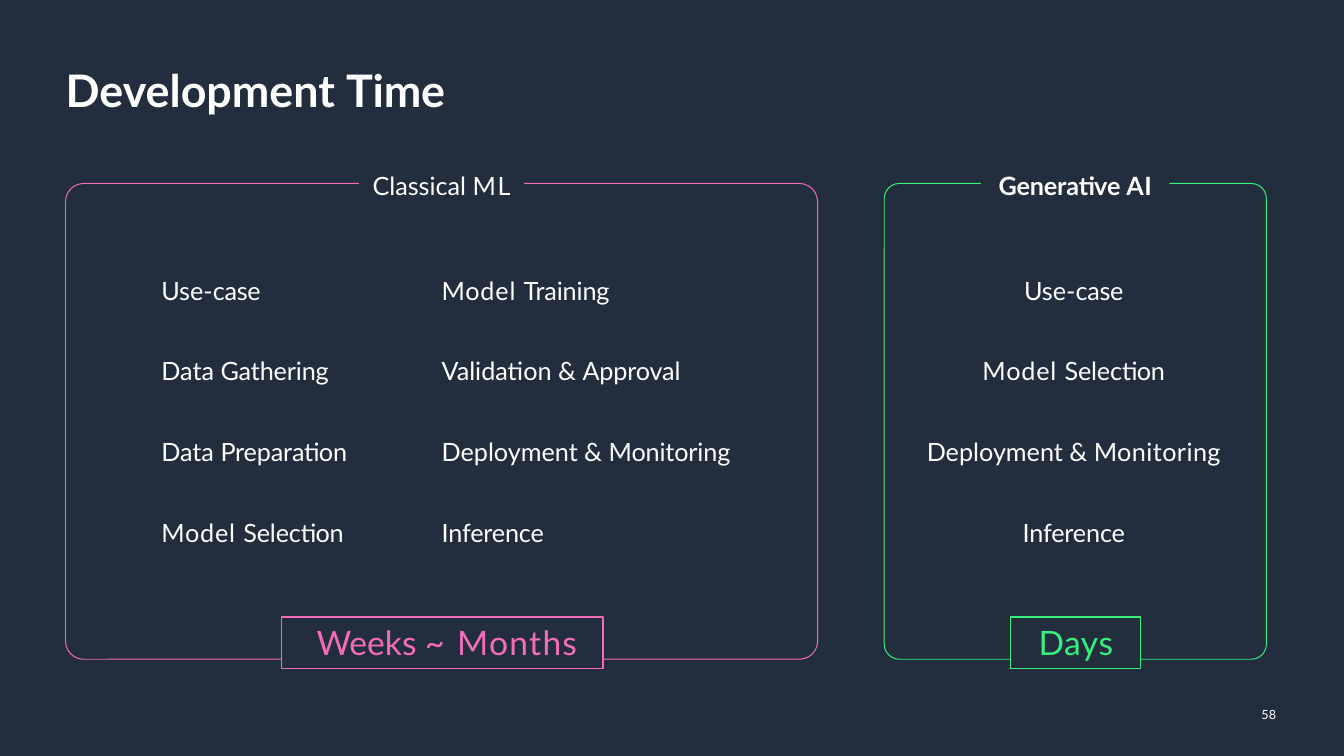
from pptx import Presentation, util as u
from pptx.dml.color import RGBColor
from pptx.enum import shapes, text

COLORS = {"navy": "222E3D", "white": "FFFFFF", "pink": "F46CB9", "green": "38EE7C"}

# Each step: text box width, then (text, letter spacing in points) spans
USE_CASE = (1.03, [("Use-", 0), ("case", -0.2)])
GATHERING = (1.75, [("Data ", 0), ("Gathering", -0.1)])
PREPARATION = (1.96, [("Data ", 0), ("Preparation", -0.1)])
SELECTION = (1.84, [("Model ", 0.6), ("Selection", -0.1)])
TRAINING = (1.73, [("Model ", 0.6), ("Training", -0.1)])
APPROVAL = (2.53, [("Validation & ", 0), ("Approval", -0.1)])
DEPLOYMENT = (2.99, [("Deployment & ", 0), ("Monitoring", -0.1)])
DEPLOYMENT_WIDE = (2.99, [("Deployment & ", 0), ("Monitoring", 0.3)])
INFERENCE = (1.09, [("Inference", -0.1)])

ROW_TOP, ROW_STEP, ROW_HEIGHT = 2.7, 0.8, 0.33
FRAME_TOP, FRAME_HEIGHT = 1.82, 4.72
GENERATIVE_CENTER = 10.65


def color(name):
    return RGBColor.from_string(COLORS[name])


def write(box, spans, size=18, ink="white", bold=False, centered=False,
          inset_left=0.01, inset_top=0.03):
    """Fill a shape with one paragraph of individually spaced spans."""
    frame = box.text_frame
    layout = {
        "word_wrap": True,
        "vertical_anchor": text.MSO_ANCHOR.TOP,
        "margin_left": u.Inches(inset_left),
        "margin_top": u.Inches(inset_top),
        "margin_right": 0,
        "margin_bottom": 0,
    }
    for name, value in layout.items():
        setattr(frame, name, value)
    para = frame.paragraphs[0]
    para.alignment = text.PP_ALIGN.CENTER if centered else text.PP_ALIGN.LEFT
    for words, spacing in spans:
        span = para.add_run()
        span.text = words
        for name, value in {"name": "Lato", "size": u.Pt(size), "bold": bold}.items():
            setattr(span.font, name, value)
        span.font.color.rgb = color(ink)
        if spacing:
            span.font._element.set("spc", str(round(spacing * 100)))


def add_text(page, left, top, width, height, spans, **style):
    box = page.shapes.add_textbox(*map(u.Inches, (left, top, width, height)))
    write(box, spans, **style)
    return box


def add_outline(page, kind, left, top, width, height, line, points):
    shape = page.shapes.add_shape(kind, *map(u.Inches, (left, top, width, height)))
    shape.shadow.inherit = False
    shape.line.color.rgb = color(line)
    shape.line.width = u.Pt(points)
    return shape


def add_frame(page, left, width, radius, line):
    frame = add_outline(page, shapes.MSO_SHAPE.ROUNDED_RECTANGLE, left, FRAME_TOP,
                        width, FRAME_HEIGHT, line, 0.72)
    frame.adjustments[0] = radius / min(width, FRAME_HEIGHT)
    frame.fill.background()


def add_heading(page, left, width, spans, bold=False):
    """Heading whose fill interrupts the top line of its frame."""
    box = add_text(page, left, 1.66, width, 0.4, spans, bold=bold, centered=True,
                   inset_left=0)
    box.fill.solid()
    box.fill.fore_color.rgb = color("navy")


def add_duration(page, left, width, spans, ink, inset_left):
    badge = add_outline(page, shapes.MSO_SHAPE.RECTANGLE, left, 6.12, width, 0.51,
                        ink, 0.96)
    badge.fill.solid()
    badge.fill.fore_color.rgb = color("navy")
    write(badge, spans, size=24, ink=ink, inset_left=inset_left, inset_top=0.05)


def add_steps(page, steps, anchor, centered=False):
    """Stack steps from a left edge, or around a centre line."""
    for row, (width, spans) in enumerate(steps):
        left = anchor - width / 2 if centered else anchor
        add_text(page, left, ROW_TOP + row * ROW_STEP, width, ROW_HEIGHT, spans,
                 centered=centered, inset_left=0 if centered else 0.01)


def main():
    deck = Presentation()
    deck.slide_width, deck.slide_height = u.Inches(13.33), u.Inches(7.5)
    page = deck.slides.add_slide(deck.slide_layouts[6])
    page.background.fill.solid()
    page.background.fill.fore_color.rgb = color("navy")

    add_text(page, 0.49, 0.14, 12.35, 1.09, [("Development ", 0), ("Time", -0.2)],
             size=32, bold=True, inset_left=0.16, inset_top=0.48)

    add_frame(page, 0.65, 7.46, 0.18, "pink")
    add_heading(page, 3.56, 1.64, [("Classical ", 0), ("ML", 1.1)])
    add_steps(page, [USE_CASE, GATHERING, PREPARATION, SELECTION], 1.59)
    add_steps(page, [TRAINING, APPROVAL, DEPLOYMENT, INFERENCE], 4.37)
    add_duration(page, 2.79, 3.19, [("Weeks ", 0), ("~ ", 1.4), ("Months", 0.9)],
                 "pink", 0.35)

    add_frame(page, 8.77, 3.79, 0.15, "green")
    add_heading(page, 9.73, 1.87, [("Generative ", -0.1), ("AI", 0.4)], bold=True)
    add_steps(page, [USE_CASE, SELECTION, DEPLOYMENT_WIDE, INFERENCE],
              GENERATIVE_CENTER, centered=True)
    add_duration(page, 10.02, 1.29, [("Days", 0.4)], "green", 0.28)

    add_text(page, 12.5, 6.98, 0.17, 0.18, [("58", 0.2)], size=9)
    deck.save("out.pptx")


if __name__ == "__main__":
    main()
